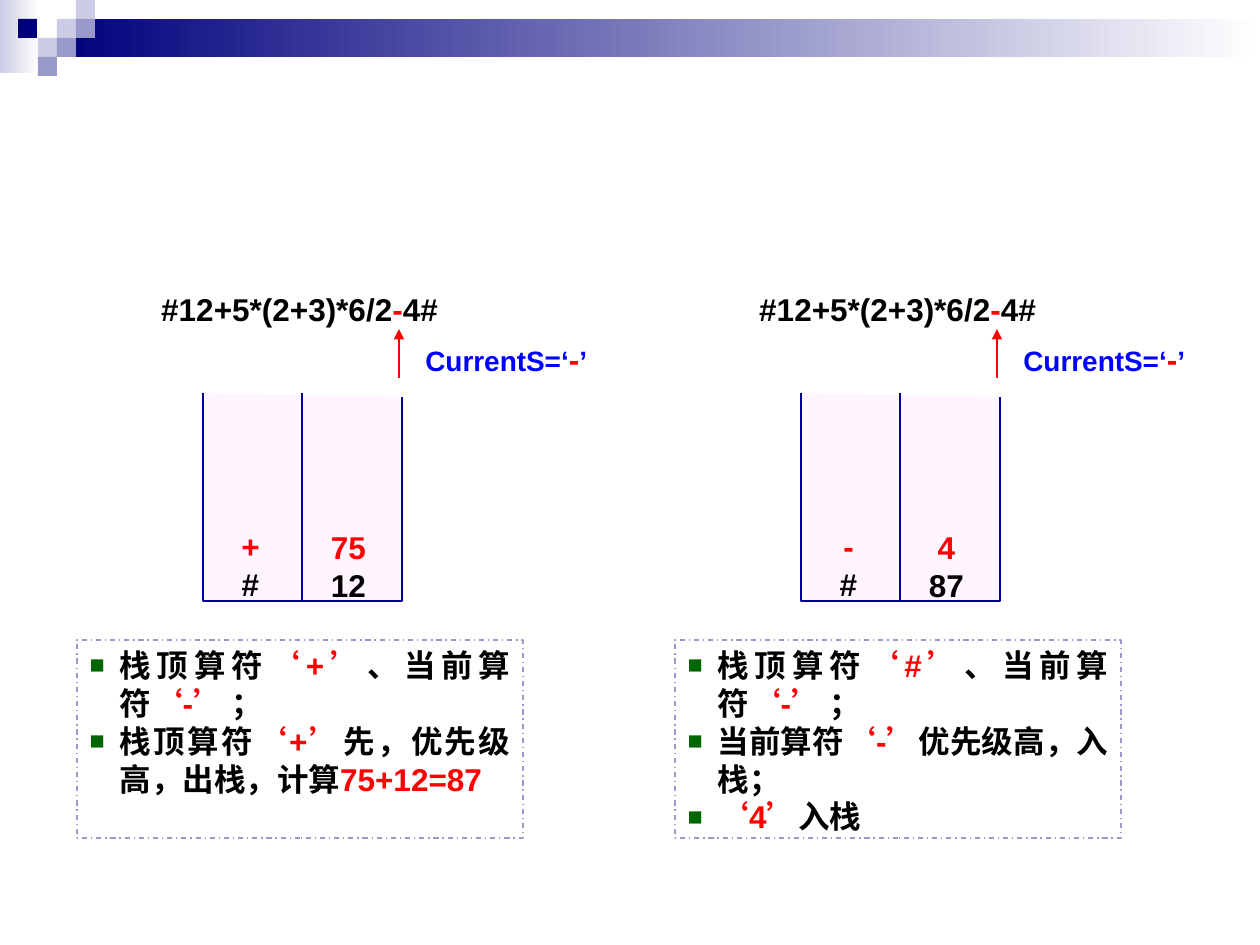
from lxml import etree
from pptx import Presentation, util as u
from pptx.dml.color import RGBColor
from pptx.enum import dml, shapes, text
from pptx.oxml.ns import qn

PX = 914400 // 126
COLORS = {
    "black": "000000", "red": "FF0000", "blue": "0000FF", "white": "FFFFFF",
    "navy": "00007D", "lilac": "CCCCE6", "violet": "9999CC",
    "stack": "FFF5FF", "border": "000099", "bullet": "006600",
}
BANDS = [((0, 0, 39, 73), "lilac"), ((57, 19, 1203, 38), "navy")]
TILE = 19
TILES = [(57, 19, "lilac"), (76, 0, "lilac"), (76, 19, "violet"),
         (38, 38, "lilac"), (18, 19, "navy"), (57, 38, "violet"),
         (38, 57, "violet")]
EXPRESSION = [[("#12+5*(2+3)*6/2", "black"), ("-", "red"), ("4# ", "black")]]
CURRENT = [[("CurrentS=‘", "blue", 16), ("-", "red"), ("’", "blue", 16)]]
STEPS = [
    {"operators": ("+", "#"), "operands": ("75", "12"), "notes": [
        [("栈顶算符", "black"), ("‘+’", "red"), ("、当前算符", "black"),
         ("‘-’ ", "red"), ("；", "black")],
        [("栈顶算符", "black"), ("‘+’", "red"),
         ("先，优先级高，出栈，计算", "black"), ("75+12=87", "red")]]},
    {"operators": ("-", "#"), "operands": ("4", "87"), "notes": [
        [("栈顶算符", "black"), ("‘#’", "red"), ("、当前算符", "black"),
         ("‘-’ ", "red"), ("；", "black")],
        [("当前算符", "black"), ("‘-’", "red"), ("优先级高，入栈；", "black")],
        [("‘4’", "red"), ("入栈", "black")]]},
]
STEP_GAP = 598


def rgb(name):
    return RGBColor.from_string(COLORS[name])


def px(*lengths):
    return [length * PX for length in lengths]


def add_bullet(paragraph, indent=30):
    props = paragraph._p.get_or_add_pPr()
    props.set("marL", str(indent * PX))
    props.set("indent", str(-indent * PX))
    color = etree.SubElement(props, qn("a:buClr"))
    etree.SubElement(color, qn("a:srgbClr"), val=COLORS["bullet"])
    etree.SubElement(props, qn("a:buSzPct"), val="80000")
    etree.SubElement(props, qn("a:buFont"), typeface="Arial")
    etree.SubElement(props, qn("a:buChar"), char="■")


def write(holder, paragraphs, align="CENTER", anchor="MIDDLE", wrap=False,
          bullets=False, size=18):
    frame = holder.text_frame
    frame.auto_size = text.MSO_AUTO_SIZE.NONE
    frame.word_wrap = wrap
    frame.vertical_anchor = text.MSO_ANCHOR[anchor]
    for number, runs in enumerate(paragraphs):
        paragraph = frame.add_paragraph() if number else frame.paragraphs[0]
        paragraph.alignment = text.PP_ALIGN[align]
        paragraph.space_before = u.Pt(0)
        if bullets:
            add_bullet(paragraph)
        for words, color, *own_size in runs:
            run = paragraph.add_run()
            run.text = words
            run.font.name = "Arial"
            run.font.bold = True
            run.font.size = u.Pt(own_size[0] if own_size else size)
            run.font.color.rgb = rgb(color)


def add_block(slide, place, color, fade=False):
    block = slide.shapes.add_shape(shapes.MSO_SHAPE.RECTANGLE, *px(*place))
    block.shadow.inherit = False
    block.line.fill.background()
    if fade:
        block.fill.gradient()
        block.fill.gradient_angle = 0
        for stop, shade in zip(block.fill.gradient_stops, (color, "white")):
            stop.color.rgb = rgb(shade)
    else:
        block.fill.solid()
        block.fill.fore_color.rgb = rgb(color)
    return block


def add_line(slide, ends, color, width, arrow=False):
    line = slide.shapes.add_connector(shapes.MSO_CONNECTOR.STRAIGHT, *px(*ends))
    line.line.color.rgb = rgb(color)
    line.line.width = u.Pt(width)
    if arrow:
        etree.SubElement(line.line._get_or_add_ln(), qn("a:tailEnd"), type="triangle")
    etree.SubElement(line._element.spPr, qn("a:effectLst"))


def add_stack(slide, left):
    corners = [(left, 601), (left + 199, 601), (left + 199, 397)]
    outline = slide.shapes.build_freeform(left, 393, scale=PX)
    outline.add_line_segments(corners, close=False)
    stack = outline.convert_to_shape()
    stack.shadow.inherit = False
    stack.fill.solid()
    stack.fill.fore_color.rgb = rgb("stack")
    stack.line.color.rgb = rgb("border")
    stack.line.width = u.Pt(0.75)
    add_line(slide, (left + 99, 393, left + 99, 601), "border", 0.75)


def add_step(slide, x, step, notes):
    add_stack(slide, x + 203)
    notes.left, notes.top, notes.width, notes.height = px(x + 77, 640, 446, 198)
    notes.line.color.rgb = rgb("violet")
    notes.line.width = u.Pt(0.75)
    notes.line.dash_style = dml.MSO_LINE.DASH_DOT
    write(notes, step["notes"], align="JUSTIFY", anchor="TOP", wrap=True, bullets=True)
    for key, place in (("operators", (x + 221, 450, 59, 159)),
                       ("operands", (x + 324, 491, 49, 119))):
        top, below = step[key]
        write(slide.shapes.add_textbox(*px(*place)),
              [[(top, "red")], [(below, "black")]], anchor="BOTTOM")
    write(add_block(slide, (x + 135, 284, 338, 49), "white"), EXPRESSION)
    add_line(slide, (x + 399, 378, x + 399, 329), "red", 1.5, arrow=True)
    write(slide.shapes.add_textbox(*px(x + 413, 334, 194, 50)), CURRENT, align="LEFT")


def main():
    deck = Presentation()
    deck.slide_width, deck.slide_height = px(1260, 945)
    slide = deck.slides.add_slide(deck.slide_layouts[3])
    title, *notes = slide.placeholders
    title._element.getparent().remove(title._element)
    for place, color in BANDS:
        add_block(slide, place, color, fade=True)
    for left, top, color in TILES:
        add_block(slide, (left, top, TILE, TILE), color)
    for number, (step, holder) in enumerate(zip(STEPS, notes)):
        add_step(slide, number * STEP_GAP, step, holder)
    deck.save("out.pptx")


if __name__ == "__main__":
    main()
